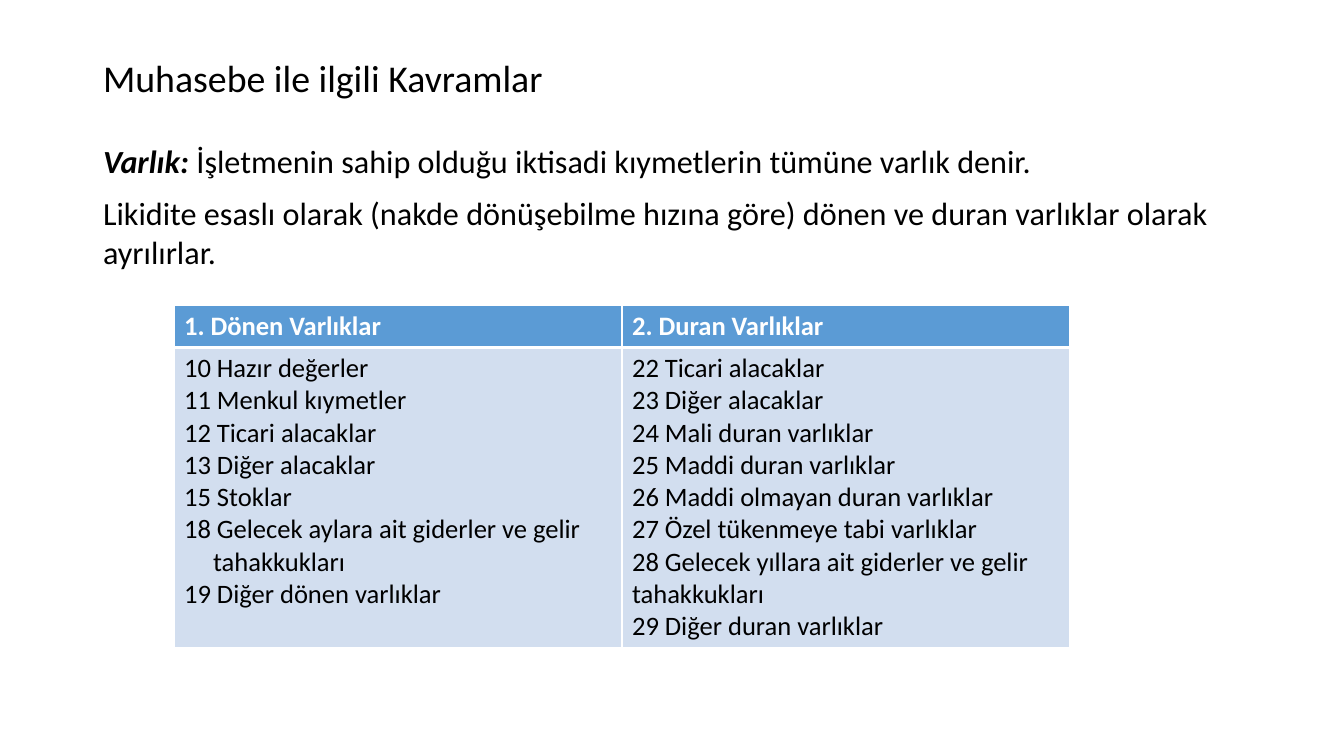
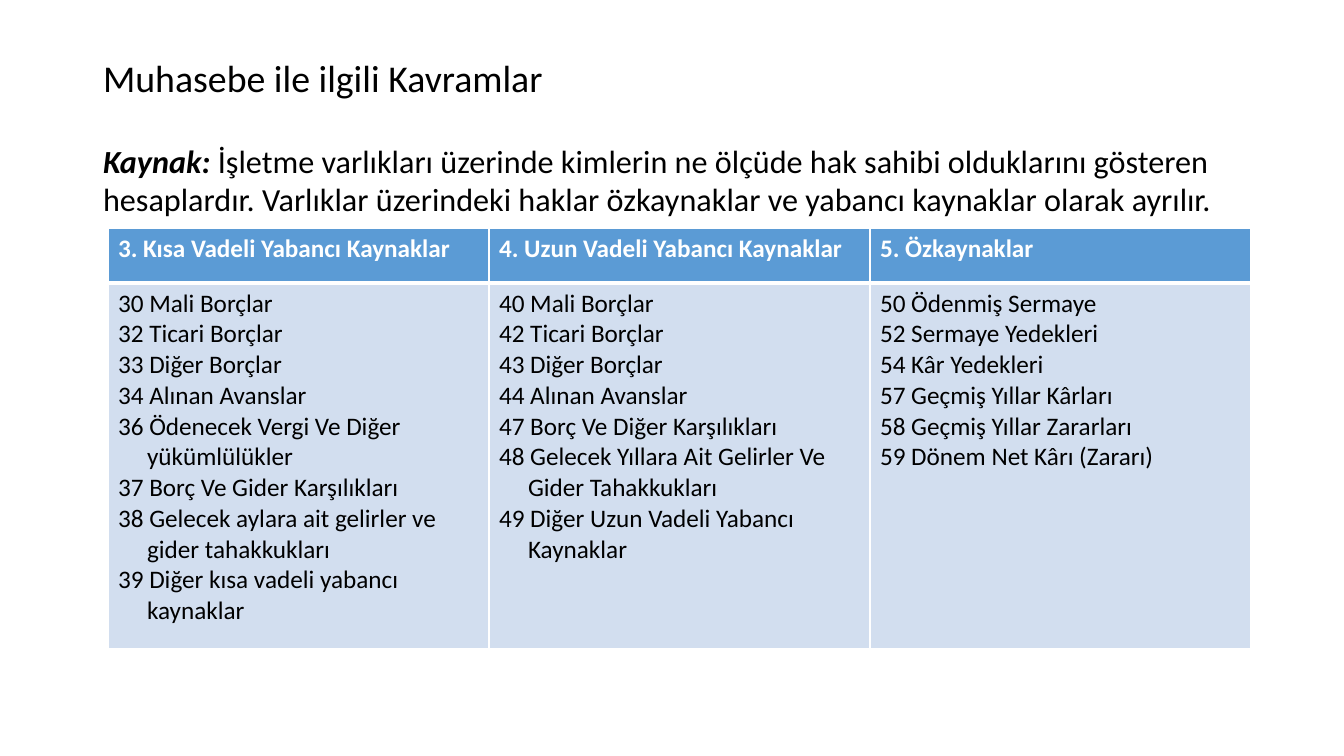
from lxml import etree
from pptx import Presentation
from pptx.dml.color import RGBColor
from pptx.enum.text import MSO_ANCHOR, MSO_AUTO_SIZE, PP_ALIGN
from pptx.oxml.ns import qn
from pptx.util import Pt

TOP, MIDDLE = MSO_ANCHOR.TOP, MSO_ANCHOR.MIDDLE
LEFT = PP_ALIGN.LEFT
NO_FIT = MSO_AUTO_SIZE.NONE

BLACK = RGBColor(0x00, 0x00, 0x00)
WHITE = RGBColor(0xFF, 0xFF, 0xFF)
BLUE = RGBColor(0x5B, 0x9B, 0xD5)
PALE = RGBColor(0xD2, 0xDE, 0xEF)

FONT = "Calibri"
WIDE, HIGH = 1344, 756
SCALE = 12192000 / WIDE
TITLE_BOX = (93, 40, 1159, 81)
BODY_BOX = (93, 136, 1159, 544)
HANG = 29
THIN, THICK = 1, 3

TITLE = "Muhasebe ile ilgili Kavramlar"

# Body paragraphs are (term, text); columns are (head, hanging, items).
SLIDES = [
    {
        "body": [
            ("Varlık: ", "İşletmenin sahip olduğu iktisadi kıymetlerin tümüne varlık denir."),
            ("", "Likidite esaslı olarak (nakde dönüşebilme hızına göre) dönen ve "
                 "duran varlıklar olarak ayrılırlar."),
        ],
        "at": (174, 305), "col": 448, "rows": (41, 299), "size": 19,
        "table": [
            ("1. Dönen Varlıklar", True, [
                "10 Hazır değerler",
                "11 Menkul kıymetler",
                "12 Ticari alacaklar",
                "13 Diğer alacaklar",
                "15 Stoklar",
                "18 Gelecek aylara ait giderler ve gelir tahakkukları",
                "19 Diğer dönen varlıklar",
            ]),
            ("2. Duran Varlıklar", False, [
                "22 Ticari alacaklar",
                "23 Diğer alacaklar",
                "24 Mali duran varlıklar",
                "25 Maddi duran varlıklar",
                "26 Maddi olmayan duran varlıklar",
                "27 Özel tükenmeye tabi varlıklar",
                "28 Gelecek yıllara ait giderler ve gelir tahakkukları",
                "29 Diğer duran varlıklar",
            ]),
        ],
    },
    {
        "body": [
            ("Kaynak: ", "İşletme varlıkları üzerinde kimlerin ne ölçüde hak sahibi "
                         "olduklarını gösteren hesaplardır. Varlıklar üzerindeki haklar "
                         "özkaynaklar ve yabancı kaynaklar olarak ayrılır."),
        ],
        "at": (108, 228), "col": 381, "rows": (55, 366), "size": 18,
        "table": [
            ("3. Kısa Vadeli Yabancı Kaynaklar", True, [
                "30 Mali Borçlar",
                "32 Ticari Borçlar",
                "33 Diğer Borçlar",
                "34 Alınan Avanslar",
                "36 Ödenecek Vergi Ve Diğer yükümlülükler",
                "37 Borç Ve Gider Karşılıkları",
                "38 Gelecek aylara ait gelirler ve gider tahakkukları",
                "39 Diğer kısa vadeli yabancı kaynaklar",
            ]),
            ("4. Uzun Vadeli Yabancı Kaynaklar", True, [
                "40 Mali Borçlar",
                "42 Ticari Borçlar",
                "43 Diğer Borçlar",
                "44 Alınan Avanslar",
                "47 Borç Ve Diğer Karşılıkları",
                "48 Gelecek Yıllara Ait Gelirler Ve Gider Tahakkukları",
                "49 Diğer Uzun Vadeli Yabancı Kaynaklar",
            ]),
            ("5. Özkaynaklar", False, [
                "50 Ödenmiş Sermaye",
                "52 Sermaye Yedekleri",
                "54 Kâr Yedekleri",
                "57 Geçmiş Yıllar Kârları",
                "58 Geçmiş Yıllar Zararları",
                "59 Dönem Net Kârı (Zararı)",
            ]),
        ],
    },
]


def px(num):
    return round(num * SCALE)


def add_run(para, text, size, color=BLACK, bold=False, italic=False):
    run = para.add_run()
    run.text = text
    font = run.font
    font.name, font.size = FONT, Pt(size)
    font.bold, font.italic = bold, italic
    font.color.rgb = color


def add_paras(frame, count):
    """Yield the first paragraph of the frame, then new ones."""
    for num in range(count):
        para = frame.add_paragraph() if num else frame.paragraphs[0]
        para.alignment = LEFT
        yield para


def indent(para, hang):
    props = para._p.get_or_add_pPr()
    props.set("marL", str(hang))
    props.set("indent", str(-hang))
    return props


def place(shape, box, anchor):
    shape.left, shape.top, shape.width, shape.height = map(px, box)
    frame = shape.text_frame
    frame.word_wrap = True
    frame.auto_size = NO_FIT
    frame.vertical_anchor = anchor
    return frame


def add_title(slide):
    frame = place(slide.shapes.title, TITLE_BOX, MIDDLE)
    for para in add_paras(frame, 1):
        para.line_spacing = 0.9
        add_run(para, TITLE, 27)


def add_body(slide, body):
    frame = place(slide.placeholders[1], BODY_BOX, TOP)
    for para, (term, text) in zip(add_paras(frame, len(body)), body):
        para.space_before = Pt(10)
        etree.SubElement(indent(para, 0), qn("a:buNone"))
        if term:
            add_run(para, term, 23, bold=True, italic=True)
        add_run(para, text, 23)


def add_edges(cell, top, bottom):
    props = cell._tc.get_or_add_tcPr()
    sides = {"a:lnL": THIN, "a:lnR": THIN, "a:lnT": top, "a:lnB": bottom}
    for tag, width in sides.items():
        line = etree.SubElement(props, qn(tag), w=str(Pt(width)))
        fill = etree.SubElement(line, qn("a:solidFill"))
        etree.SubElement(fill, qn("a:srgbClr"), val=str(WHITE))


def fill_cell(cell, items, size, head=False, hang=0):
    add_edges(cell, *((THIN, THICK) if head else (THICK, THIN)))
    cell.fill.solid()
    cell.fill.fore_color.rgb = BLUE if head else PALE
    for para, text in zip(add_paras(cell.text_frame, len(items)), items):
        indent(para, hang)
        add_run(para, text, size, WHITE if head else BLACK, bold=head)


def add_grid(slide, data):
    cols, rows, size = data["table"], data["rows"], data["size"]
    left, top = data["at"]
    box = (left, top, data["col"] * len(cols), sum(rows))
    grid = slide.shapes.add_table(len(rows), len(cols), *map(px, box)).table
    for row, high in zip(grid.rows, rows):
        row.height = px(high)
    for num, (head, hangs, items) in enumerate(cols):
        grid.columns[num].width = px(data["col"])
        fill_cell(grid.cell(0, num), [head], size, head=True)
        fill_cell(grid.cell(1, num), items, size, hang=px(HANG) if hangs else 0)


def main():
    deck = Presentation()
    deck.slide_width, deck.slide_height = px(WIDE), px(HIGH)
    for data in SLIDES:
        slide = deck.slides.add_slide(deck.slide_layouts[1])
        add_title(slide)
        add_body(slide, data["body"])
        add_grid(slide, data)
    deck.save("out.pptx")


if __name__ == "__main__":
    main()
